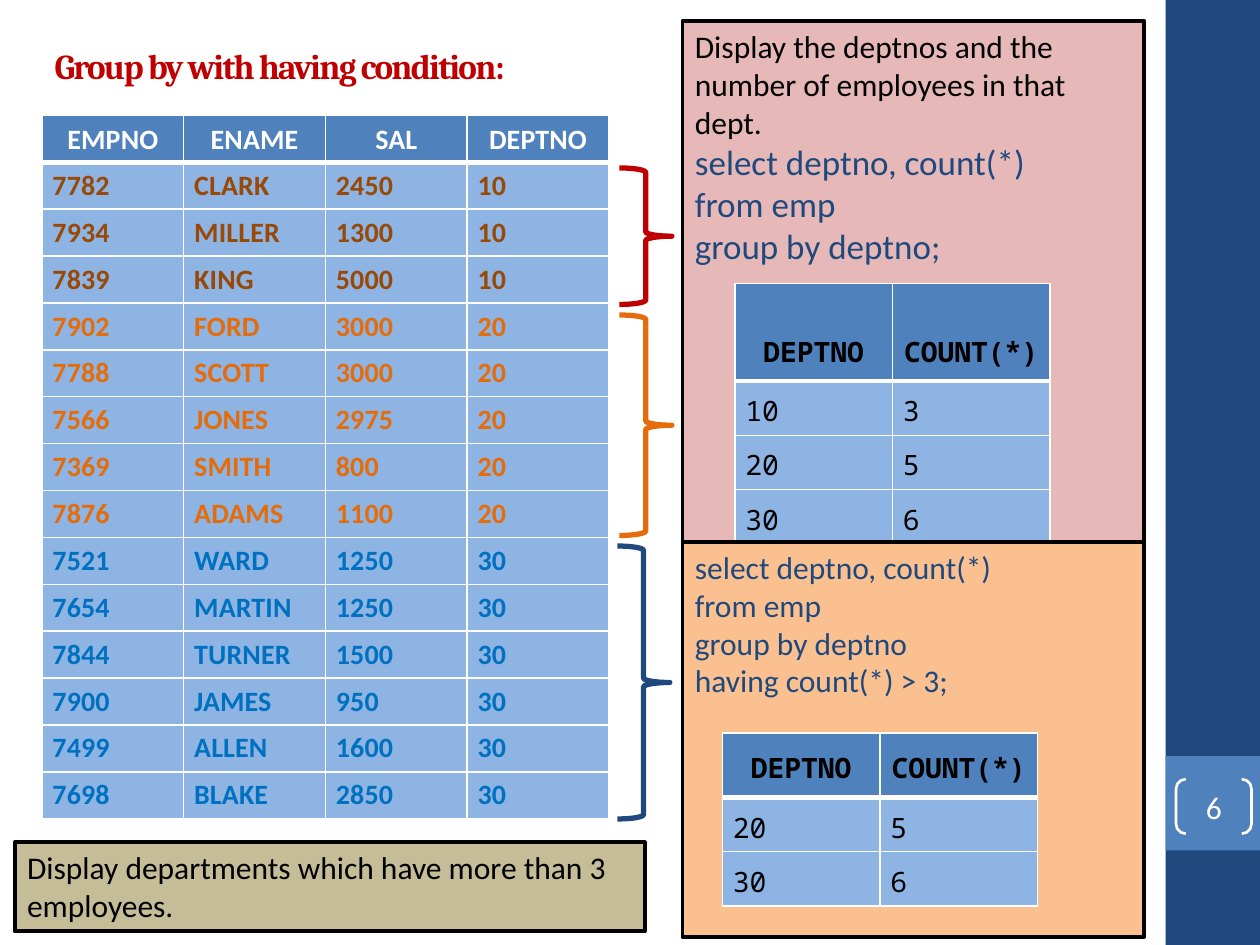
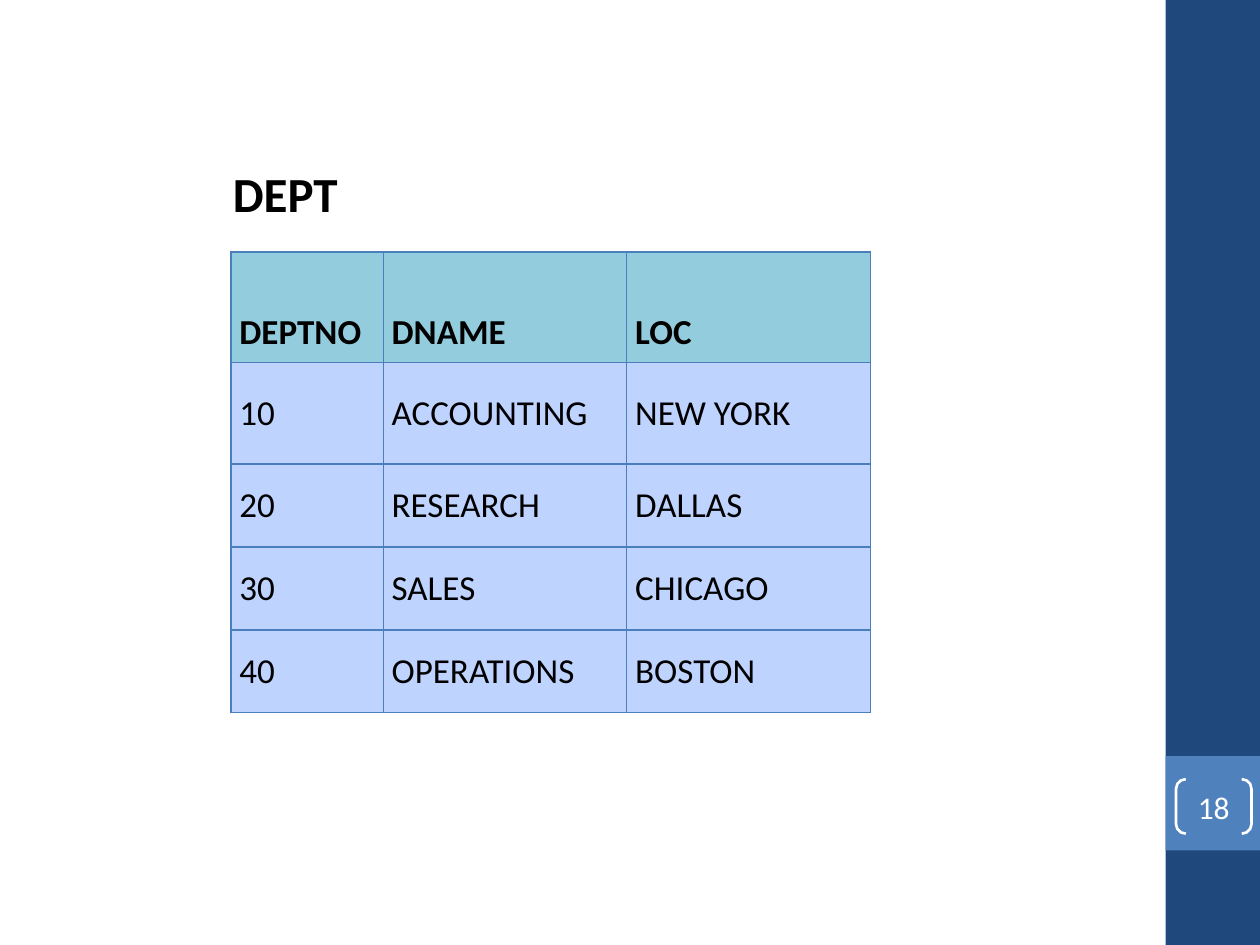
from dataclasses import dataclass, replace

from pptx import Presentation, util as u
from pptx.dml.color import RGBColor
from pptx.enum import shapes, text
from pptx.oxml import parse_xml
from pptx.oxml.ns import nsdecls

EMU_PER_PX = 7620  # 120 px to the inch
WIDTH, HEIGHT = 1200, 900

BLACK = RGBColor(0x00, 0x00, 0x00)
WHITE = RGBColor(0xFF, 0xFF, 0xFF)
NAVY = RGBColor(0x1F, 0x49, 0x7D)
BLUE = RGBColor(0x4F, 0x81, 0xBD)
BODY_BLUE = RGBColor(0x8E, 0xB4, 0xE3)
RED = RGBColor(0xC0, 0x00, 0x00)
ORANGE = RGBColor(0xE4, 0x6C, 0x0A)
BROWN = RGBColor(0x98, 0x48, 0x07)
BRIGHT_BLUE = RGBColor(0x00, 0x70, 0xC0)
PINK = RGBColor(0xE6, 0xB9, 0xB8)
PEACH = RGBColor(0xFA, 0xC0, 0x90)
KHAKI = RGBColor(0xC4, 0xBD, 0x97)
AQUA = RGBColor(0x93, 0xCD, 0xDD)
PALE_BLUE = RGBColor(0xBF, 0xD3, 0xFF)
GRID_BLUE = RGBColor(0x4B, 0x7E, 0xBC)

LEFT, CENTRE = text.PP_ALIGN.LEFT, text.PP_ALIGN.CENTER
TOP, MIDDLE, BOTTOM = (text.MSO_ANCHOR.TOP, text.MSO_ANCHOR.MIDDLE,
                       text.MSO_ANCHOR.BOTTOM)


@dataclass(frozen=True)
class Box:
    x: int
    y: int
    w: int
    h: int

    def emu(self) -> tuple:
        return tuple(px(v) for v in (self.x, self.y, self.w, self.h))


@dataclass(frozen=True)
class Style:
    size: int
    colour: RGBColor = BLACK
    bold: bool = False
    font: str = "Calibri"
    align: int = LEFT
    line_spacing: float = 1.0
    tracking: float = 0  # points


@dataclass(frozen=True)
class TableLook:
    header: Style
    body: Style
    header_fill: RGBColor
    body_fill: RGBColor
    grid: RGBColor
    grid_width: float
    header_rule: float  # line width under the header, in points
    pad_x: int
    pad_y: int
    header_pad_y: int


@dataclass(frozen=True)
class Panel:
    box: Box
    fill: RGBColor
    lines: tuple  # (wording, style) pairs


@dataclass(frozen=True)
class Brace:
    box: Box
    colour: RGBColor


EMP_BODY = Style(16, bold=True, tracking=0.1)
EMP_LOOK = TableLook(replace(EMP_BODY, colour=WHITE, align=CENTRE), EMP_BODY,
                     BLUE, BODY_BLUE, WHITE, 1, 3, 10, 5, 5)
COUNT_BODY = Style(16, font="Noto Sans Mono", line_spacing=1.15)
COUNT_LOOK = replace(EMP_LOOK, body=COUNT_BODY, header_pad_y=10,
                     header=replace(COUNT_BODY, bold=True, align=CENTRE))
DEPT_LOOK = TableLook(Style(20, bold=True), Style(20), AQUA, PALE_BLUE,
                      GRID_BLUE, 0.75, 0.75, 8, 4, 8)

PLAIN = Style(18)
QUERY = Style(18, NAVY)
BIG_QUERY = Style(20, NAVY)

DEPT_COLOURS = {"10": BROWN, "20": ORANGE, "30": BRIGHT_BLUE}
EMPLOYEES = [
    ("EMPNO", "ENAME", "SAL", "DEPTNO"),
    ("7782", "CLARK", "2450", "10"),
    ("7934", "MILLER", "1300", "10"),
    ("7839", "KING", "5000", "10"),
    ("7902", "FORD", "3000", "20"),
    ("7788", "SCOTT", "3000", "20"),
    ("7566", "JONES", "2975", "20"),
    ("7369", "SMITH", "800", "20"),
    ("7876", "ADAMS", "1100", "20"),
    ("7521", "WARD", "1250", "30"),
    ("7654", "MARTIN", "1250", "30"),
    ("7844", "TURNER", "1500", "30"),
    ("7900", "JAMES", "950", "30"),
    ("7499", "ALLEN", "1600", "30"),
    ("7698", "BLAKE", "2850", "30"),
]
COUNT_HEADER = ("DEPTNO", "COUNT(*)")
ALL_COUNTS = [COUNT_HEADER, ("10", "3"), ("20", "5"), ("30", "6")]
LARGE_COUNTS = [COUNT_HEADER, ("20", "5"), ("30", "6")]
DEPARTMENTS = [
    ("DEPTNO", "DNAME", "LOC"),
    ("10", "ACCOUNTING", "NEW YORK"),
    ("20", "RESEARCH", "DALLAS"),
    ("30", "SALES", "CHICAGO"),
    ("40", "OPERATIONS", "BOSTON"),
]

GROUP_PANEL = Panel(Box(650, 20, 440, 577), PINK, (
    ("Display the deptnos and the number of employees in that dept.", PLAIN),
    ("select deptno, count(*)", BIG_QUERY),
    ("from emp", BIG_QUERY),
    ("group by deptno;", BIG_QUERY)))
HAVING_PANEL = Panel(Box(650, 516, 440, 376), PEACH, (
    ("select deptno, count(*)", QUERY),
    ("from emp", QUERY),
    ("group by deptno", QUERY),
    ("having count(*) > 3;", QUERY)))
QUESTION_PANEL = Panel(Box(14, 802, 600, 85), KHAKI, (
    ("Display departments which have more than 3 employees.", PLAIN),))
BRACES = [
    Brace(Box(590, 160, 50, 130), RED),
    Brace(Box(590, 300, 50, 210), ORANGE),
    Brace(Box(588, 520, 50, 260), NAVY),
]


def px(length: float) -> int:
    return u.Emu(round(length * EMU_PER_PX))


def write(frame, lines, anchor=TOP) -> None:
    """Fill a text frame with one paragraph per (wording, style) pair."""
    frame.vertical_anchor = anchor
    for i, (wording, style) in enumerate(lines):
        paragraph = frame.add_paragraph() if i else frame.paragraphs[0]
        paragraph.alignment = style.align
        paragraph.line_spacing = style.line_spacing
        run = paragraph.add_run()
        run.text = wording
        run.font.size = u.Pt(style.size)
        run.font.name = style.font
        run.font.bold = style.bold
        run.font.color.rgb = style.colour
        if style.tracking:
            run._r.get_or_add_rPr().set("spc", str(round(style.tracking * 100)))


def add_shape(slide, kind, box: Box, fill=None, line=None, line_width=0.0):
    shape = slide.shapes.add_shape(kind, *box.emu())
    shape.shadow.inherit = False
    if fill is None:
        shape.fill.background()
    else:
        shape.fill.solid()
        shape.fill.fore_color.rgb = fill
    if line is None:
        shape.line.fill.background()
    else:
        shape.line.color.rgb = line
        shape.line.width = u.Pt(line_width)
    return shape


def add_panel(slide, panel: Panel) -> None:
    shape = add_shape(slide, shapes.MSO_SHAPE.RECTANGLE, panel.box,
                      panel.fill, BLACK, 2.25)
    shape.text_frame.word_wrap = True
    write(shape.text_frame, panel.lines)


def set_borders(cell, colour: RGBColor, widths: dict) -> None:
    """Draw cell borders; widths maps the sides L, R, T, B to points."""
    properties = cell._tc.get_or_add_tcPr()
    for side, width in widths.items():
        properties.append(parse_xml(
            f'<a:ln{side} {nsdecls("a")} w="{u.Pt(width)}"><a:solidFill>'
            f'<a:srgbClr val="{colour}"/></a:solidFill></a:ln{side}>'))


def add_table(slide, x: int, y: int, widths, heights, rows, look: TableLook,
              row_colours=None) -> None:
    """row_colours gives the text colour of a body row by its last cell."""
    box = Box(x, y, sum(widths), sum(heights))
    table = slide.shapes.add_table(len(rows), len(widths), *box.emu()).table
    table.horz_banding = False
    for column, width in zip(table.columns, widths):
        column.width = px(width)
    for r, (row, height) in enumerate(zip(rows, heights)):
        table.rows[r].height = px(height)
        is_header = r == 0
        style = look.header if is_header else look.body
        if row_colours and not is_header:
            style = replace(style, colour=row_colours[row[-1]])
        pad_y = look.header_pad_y if is_header else look.pad_y
        borders = dict.fromkeys("LRTB", look.grid_width)
        if r < 2:
            borders["B" if is_header else "T"] = look.header_rule
        for c, wording in enumerate(row):
            cell = table.cell(r, c)
            cell.margin_left = cell.margin_right = px(look.pad_x)
            cell.margin_top = cell.margin_bottom = px(pad_y)
            set_borders(cell, look.grid, borders)
            cell.fill.solid()
            cell.fill.fore_color.rgb = (look.header_fill if is_header
                                        else look.body_fill)
            write(cell.text_frame, [(wording, style)])
            cell.vertical_anchor = BOTTOM if is_header else MIDDLE


def add_side_band(slide, page: str) -> None:
    rectangle = shapes.MSO_SHAPE.RECTANGLE
    add_shape(slide, rectangle, Box(1110, 0, 90, HEIGHT), NAVY)
    add_shape(slide, rectangle, Box(1110, 720, 90, 90), BLUE)
    brackets = add_shape(slide, shapes.MSO_SHAPE.DOUBLE_BRACKET,
                         Box(1120, 742, 72, 52), line=WHITE, line_width=1.5)
    brackets.adjustments[0] = 0.18
    frame = brackets.text_frame
    frame.margin_left = frame.margin_right = 0
    frame.margin_top = frame.margin_bottom = 0
    write(frame, [(page, Style(18, WHITE, align=CENTRE))], MIDDLE)


def add_having_slide(deck) -> None:
    slide = deck.slides.add_slide(deck.slide_layouts[5])
    add_side_band(slide, "6")
    title = slide.shapes.title
    title.left, title.top, title.width, title.height = Box(40, 30, 510, 64).emu()
    title.text_frame.word_wrap = True
    title.text_frame.auto_size = text.MSO_AUTO_SIZE.NONE
    write(title.text_frame, [("Group by with having condition:",
                              Style(20, RED, True, "Cambria", tracking=-1))],
          MIDDLE)

    add_panel(slide, GROUP_PANEL)
    row_height = 670 / len(EMPLOYEES)
    add_table(slide, 40, 110, [135] * 4, [row_height] * len(EMPLOYEES),
              EMPLOYEES, EMP_LOOK, DEPT_COLOURS)
    add_table(slide, 700, 270, [150] * 2, [93] + [47] * 3, ALL_COUNTS,
              COUNT_LOOK)
    add_panel(slide, HAVING_PANEL)
    add_table(slide, 688, 698, [150] * 2, [56] + [47] * 2, LARGE_COUNTS,
              COUNT_LOOK)
    for brace in BRACES:
        add_shape(slide, shapes.MSO_SHAPE.RIGHT_BRACE, brace.box,
                  line=brace.colour, line_width=3)
    add_panel(slide, QUESTION_PANEL)


def add_department_slide(deck) -> None:
    slide = deck.slides.add_slide(deck.slide_layouts[6])
    add_side_band(slide, "18")
    caption = slide.shapes.add_textbox(*Box(210, 150, 125, 68).emu())
    caption.text_frame.word_wrap = False
    write(caption.text_frame, [("DEPT", Style(28, bold=True))])
    add_table(slide, 220, 240, [145, 232, 232], [105, 97] + [79] * 3,
              DEPARTMENTS, DEPT_LOOK)


def main() -> None:
    deck = Presentation()
    deck.slide_width, deck.slide_height = px(WIDTH), px(HEIGHT)
    add_having_slide(deck)
    add_department_slide(deck)
    deck.save("out.pptx")


if __name__ == "__main__":
    main()
